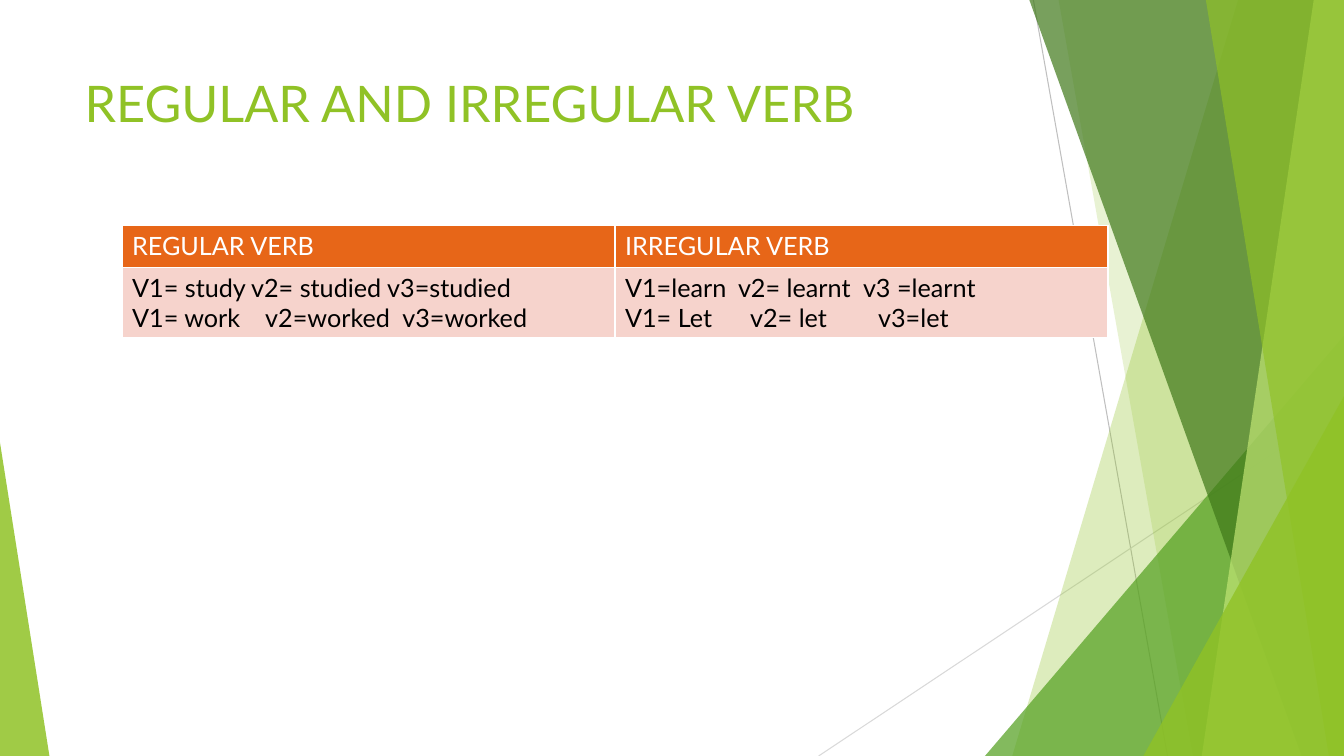
import pptx
import pptx.dml.color
import pptx.enum.shapes
import pptx.enum.text
import pptx.oxml
import pptx.oxml.ns
import pptx.util

RGBColor = pptx.dml.color.RGBColor
WHITE = RGBColor(0xFF, 0xFF, 0xFF)
BLACK = RGBColor(0x00, 0x00, 0x00)
LEAF = RGBColor(0x90, 0xC2, 0x26)
GRASS = RGBColor(0x54, 0xA0, 0x21)
FOREST = RGBColor(0x3F, 0x78, 0x19)
LIME = RGBColor(0xC0, 0xE4, 0x74)
ORANGE = RGBColor(0xE7, 0x66, 0x18)
PINK = RGBColor(0xF6, 0xD3, 0xCC)
GRAY = RGBColor(0xBF, 0xBF, 0xBF)
PALE_GRAY = RGBColor(0xD9, 0xD9, 0xD9)
NAMESPACE = pptx.oxml.ns.nsdecls("a")

deck = pptx.Presentation()
deck.slide_width = pptx.util.Inches(13.33)
deck.slide_height = pptx.util.Inches(7.5)
page = deck.slides.add_slide(deck.slide_layouts[5])


def grid(column, row):
    """Turn percentages of the slide's width and height into lengths."""
    return round(deck.slide_width * column / 100), round(deck.slide_height * row / 100)


def write(frame, text, size=18, color=BLACK, tabs=()):
    """Fill a text frame line by line; tabs holds the stops, in inches, of each line."""
    for index, line in enumerate(text.split("\n")):
        para = frame.paragraphs[0] if index == 0 else frame.add_paragraph()
        para.alignment = pptx.enum.text.PP_ALIGN.LEFT
        if index < len(tabs) and tabs[index]:
            stops = "".join(f'<a:tab pos="{pptx.util.Inches(stop)}" algn="l"/>' for stop in tabs[index])
            para._p.get_or_add_pPr().append(
                pptx.oxml.parse_xml(f"<a:tabLst {NAMESPACE}>{stops}</a:tabLst>"))
        span = para.add_run()
        span.text = line
        span.font.name = "Lato"
        span.font.size = pptx.util.Pt(size)
        span.font.bold = False
        span.font.color.rgb = color


# Thin crossing lines: start, end, colour
for start, end, color in [
    ((76.89, 0), (86.87, 100), GRAY),
    ((100, 53.73), (60.91, 100), PALE_GRAY),
]:
    line = page.shapes.add_connector(
        pptx.enum.shapes.MSO_CONNECTOR.STRAIGHT, *grid(*start), *grid(*end))
    line.line.color.rgb = color
    line.line.width = pptx.util.Pt(0.75)
    line._element.spPr.append(pptx.oxml.parse_xml(f"<a:effectLst {NAMESPACE}/>"))

# Facets, back to front. A band runs from its top column to its bottom column and
# fills to the right edge; a triangle spans left to right below its peak row.
for kind, measures, color, opacity in [
    ("band", (92.12, 75.32), LEAF, 30),
    ("band", (78.77, 88.75), LEAF, 20),
    ("triangle", (73.29, 100, 44.4, 1), GRASS, 72),
    ("band", (76.59, 96.85), FOREST, 70),
    ("band", (97.75, 89.42), LIME, 70),
    ("band", (89.72, 98.87), LEAF, 65),
    ("triangle", (85.07, 100, 52.4, 1), LEAF, 80),
    ("triangle", (0, 3.68, 58.53, 0), LEAF, 85),
]:
    if kind == "band":
        top, bottom = measures
        outline = page.shapes.build_freeform(*grid(top, 0))
        outline.add_line_segments([grid(100, 0), grid(100, 100), grid(bottom, 100)], close=True)
        facet = outline.convert_to_shape()
    else:
        left, right, peak, lean = measures
        facet = page.shapes.add_shape(
            pptx.enum.shapes.MSO_SHAPE.ISOSCELES_TRIANGLE,
            *grid(left, peak), *grid(right - left, 100 - peak))
        facet.adjustments[0] = lean
    facet.shadow.inherit = False
    facet.line.fill.background()
    facet.fill.solid()
    facet.fill.fore_color.rgb = color
    facet._element.spPr.find(".//" + pptx.oxml.ns.qn("a:srgbClr")).append(
        pptx.oxml.parse_xml(f'<a:alpha {NAMESPACE} val="{opacity * 1000}"/>'))

# Title, brought in front of the facets
title = page.shapes.title
title.element.getparent().append(title.element)
title.left, title.top = grid(5.55, 8.93)
title.width, title.height = grid(70.52, 19.2)
title.text_frame.word_wrap = True
title.text_frame.auto_size = pptx.enum.text.MSO_AUTO_SIZE.NONE
title.text_frame.vertical_anchor = pptx.enum.text.MSO_ANCHOR.TOP
write(title.text_frame, "REGULAR AND IRREGULAR VERB", size=36, color=LEAF)

# Verb table: each cell has its text and the tab stops of its lines
verbs = [
    [("REGULAR VERB", ()), ("IRREGULAR VERB", ())],
    [
        ("V1= study v2= studied v3=studied\nV1= work\tv2=worked\tv3=worked",
         ((), (1.32, 2.68))),
        ("V1=learn\tv2= learnt\tv3 =learnt\nV1= Let\tv2= let\tv3=let",
         ((1.12, 2.36), (1.24, 2.51))),
    ],
]
row_shares = (5.47, 9.33)
table = page.shapes.add_table(
    2, 2, *grid(9.08, 29.87), *grid(2 * 36.68, sum(row_shares))).table
table.horz_banding = False
for column in table.columns:
    column.width = grid(36.68, 0)[0]
for row, share, entries, fill, color in zip(
        table.rows, row_shares, verbs, (ORANGE, PINK), (WHITE, BLACK)):
    row.height = grid(0, share)[1]
    for cell, (text, tabs) in zip(row.cells, entries):
        write(cell.text_frame, text, color=color, tabs=tabs)
        for side in "LRTB":
            cell._tc.get_or_add_tcPr().append(pptx.oxml.parse_xml(
                f'<a:ln{side} {NAMESPACE} w="{pptx.util.Pt(1)}"><a:solidFill>'
                f'<a:srgbClr val="{WHITE}"/></a:solidFill></a:ln{side}>'))
        cell.fill.solid()
        cell.fill.fore_color.rgb = fill

deck.save("out.pptx")
